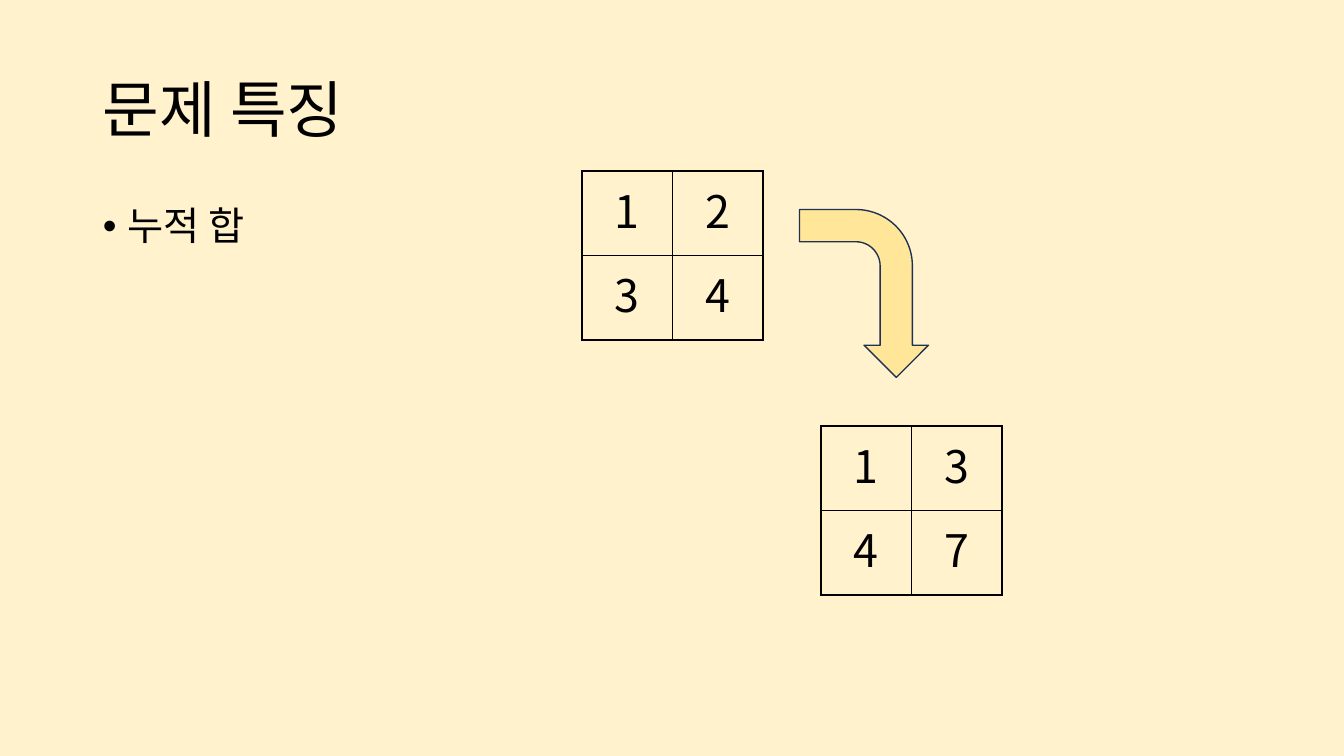
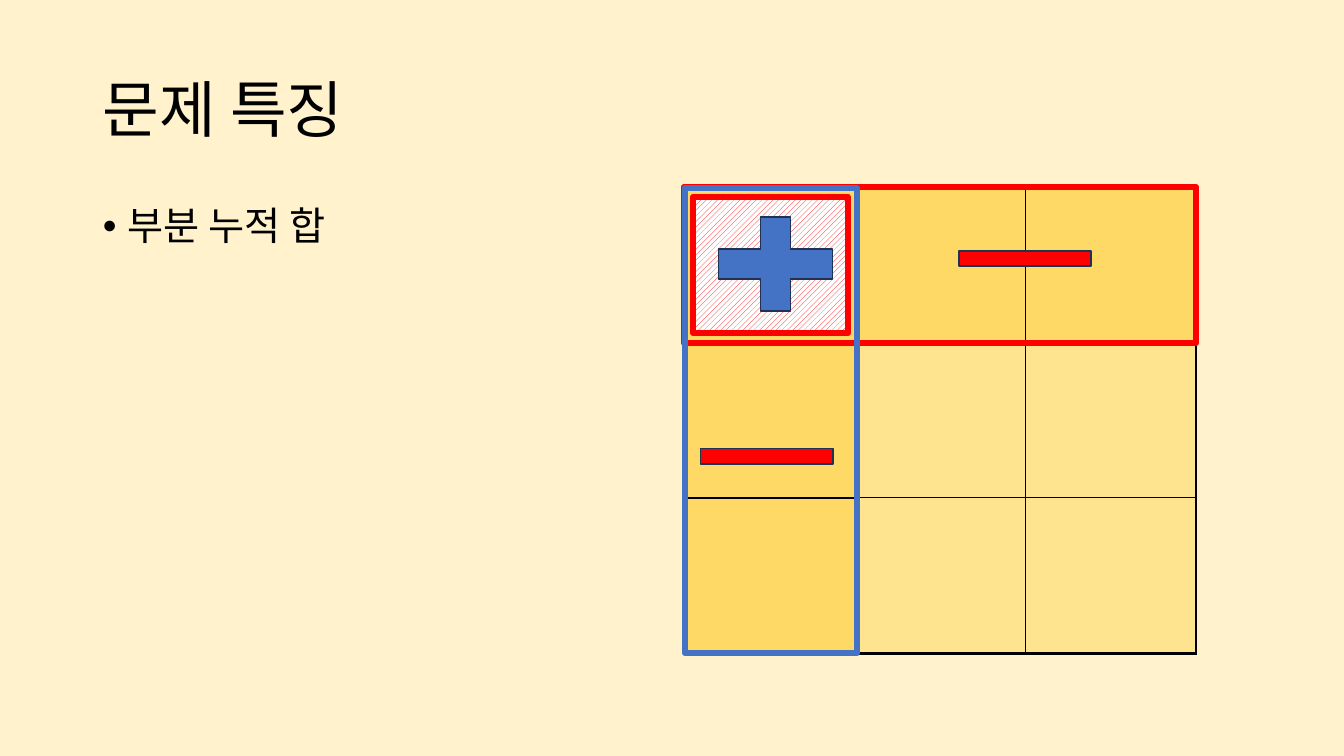
import pptx
import pptx.util
import pptx.dml.color
import pptx.enum.dml
import pptx.enum.shapes
import pptx.enum.text
import pptx.oxml
import pptx.oxml.ns

SCALE = 914400 / 100.8
FONT = "Noto Sans CJK KR"
COLORS = {
    "paper": "FFF2CC",
    "ink": "000000",
    "white": "FFFFFF",
    "arrow": "FFE699",
    "outline": "1E3256",
    "gold": "FFD966",
    "pale": "FFE48F",
    "red": "FF0000",
    "blue": "4472C4",
}
KINDS = pptx.enum.shapes.MSO_SHAPE
TITLE = {"size": 44, "anchor": pptx.enum.text.MSO_ANCHOR.MIDDLE,
         "paragraph": {"line_spacing": 0.9}}
BULLET = {"size": 28, "anchor": pptx.enum.text.MSO_ANCHOR.TOP,
          "paragraph": {"line_spacing": 0.9, "space_before": pptx.util.Pt(10)}}
CELL = {"size": 32, "paragraph": {"alignment": pptx.enum.text.PP_ALIGN.CENTER}}
PLAIN_TABLE = {"first_row": False, "horz_banding": False}


def px(length):
    return pptx.util.Emu(round(length * SCALE))


def rgb(name):
    return pptx.dml.color.RGBColor.from_string(COLORS[name])


def assign(target, values):
    for key, value in values.items():
        setattr(target, key, value)


class Deck:
    def __init__(self):
        self.show = pptx.Presentation()
        assign(self.show, {"slide_width": px(1344), "slide_height": px(756)})
        self.slide = None

    def start(self, title, point, point_width):
        self.slide = self.show.slides.add_slide(self.show.slide_layouts[6])
        self.paint(self.slide.background.fill, "paper")
        self.text((93, 40, 1159, 146), title, TITLE)
        bullet = self.text((93, 202, point_width, 480), point, BULLET)
        indents = bullet._p.get_or_add_pPr()
        indents.set("marL", str(px(25)))
        indents.set("indent", str(-px(25)))
        for tag, key, value in (("buFont", "typeface", "Arial"), ("buChar", "char", "•")):
            mark = pptx.oxml.ns.qn("a:" + tag)
            indents.append(indents.makeelement(mark, {key: value}))

    def paint(self, fill, color):
        if color is None:
            fill.background()
        else:
            fill.solid()
            fill.fore_color.rgb = rgb(color)

    def fill_paragraph(self, paragraph, words, style):
        assign(paragraph, style["paragraph"])
        run = paragraph.add_run()
        run.text = words
        assign(run.font, {"name": FONT, "size": pptx.util.Pt(style["size"])})
        run.font.color.rgb = rgb("ink")
        properties = run._r.get_or_add_rPr()
        properties.append(properties.makeelement(
            pptx.oxml.ns.qn("a:ea"), {"typeface": FONT}))

    def text(self, box, words, style):
        frame = self.slide.shapes.add_textbox(*map(px, box)).text_frame
        assign(frame, {"word_wrap": True, "vertical_anchor": style["anchor"]})
        paragraph = frame.paragraphs[0]
        self.fill_paragraph(paragraph, words, style)
        return paragraph

    def border(self, cell):
        properties = cell._tc.get_or_add_tcPr()
        for side in "LRTB":
            properties.append(pptx.oxml.parse_xml(
                f'<a:ln{side} {pptx.oxml.ns.nsdecls("a")} w="12700"><a:solidFill>'
                f'<a:srgbClr val="{COLORS["ink"]}"/></a:solidFill></a:ln{side}>'))

    def grid(self, box, words=None, fills=None):
        rows = words or fills
        table = self.slide.shapes.add_table(
            len(rows), len(rows[0]), *map(px, box)).table
        assign(table, PLAIN_TABLE)
        for r, row in enumerate(rows):
            for c in range(len(row)):
                cell = table.cell(r, c)
                self.border(cell)
                self.paint(cell.fill, fills[r][c] if fills else None)
                if words:
                    self.fill_paragraph(cell.text_frame.paragraphs[0], words[r][c], CELL)

    def shape(self, kind, box, fill=None, line="outline", weight=1, rotation=0):
        figure = self.slide.shapes.add_shape(kind, *map(px, box))
        figure.shadow.inherit = False
        figure.rotation = rotation
        self.paint(figure.fill, fill)
        figure.line.color.rgb = rgb(line)
        figure.line.width = pptx.util.Pt(weight)
        return figure

    def frame(self, box, line):
        return self.shape(KINDS.RECTANGLE, box, line=line, weight=4.5)

    def hatch(self, figure, front, back):
        fill = figure.fill
        fill.patterned()
        fill.pattern = pptx.enum.dml.MSO_PATTERN.WIDE_UPWARD_DIAGONAL
        fill.fore_color.rgb = rgb(front)
        fill.back_color.rgb = rgb(back)


deck = Deck()

deck.start("문제 특징", "누적 합", 234)
deck.grid((582, 171, 181, 169), words=["12", "34"])
deck.grid((821, 426, 181, 169), words=["13", "47"])
deck.shape(KINDS.BENT_ARROW, (780, 229, 168, 129), "arrow", rotation=90)

deck.start("문제 특징", "부분 누적 합", 393)
deck.grid((684, 187, 512, 467), fills=[["gold"] * 3] * 3)
deck.grid((684, 186, 512, 467),
          fills=[[None] * 3] + [[None, "pale", "pale"]] * 2)
deck.frame((684, 187, 512, 156), "red")
deck.frame((685, 188, 172, 465), "blue")
overlap = deck.frame((693, 197, 155, 136), "red")
deck.hatch(overlap, "red", "white")
for left, top in ((935, 226), (677, 424)):
    deck.shape(KINDS.MATH_MINUS, (left, top, 180, 65), "red")
deck.shape(KINDS.MATH_PLUS, (698, 200, 155, 128), "blue")

deck.show.save("out.pptx")
